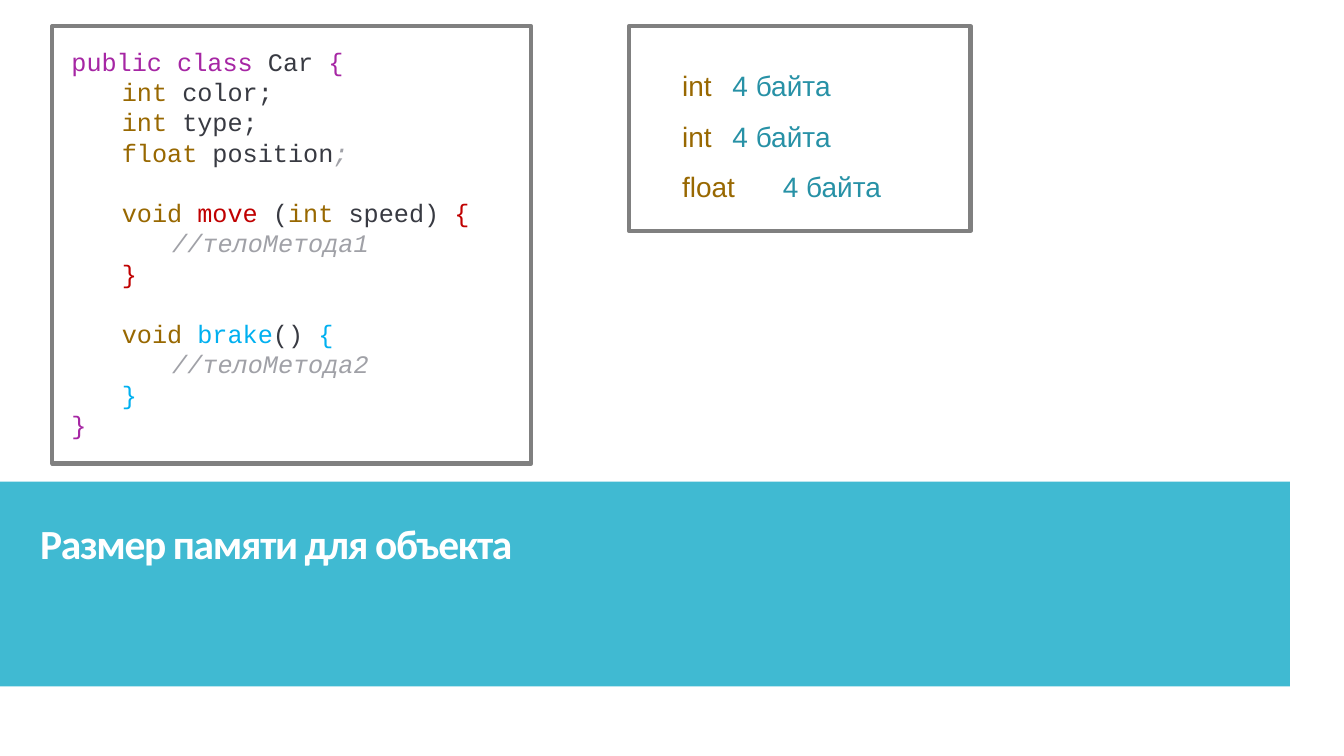
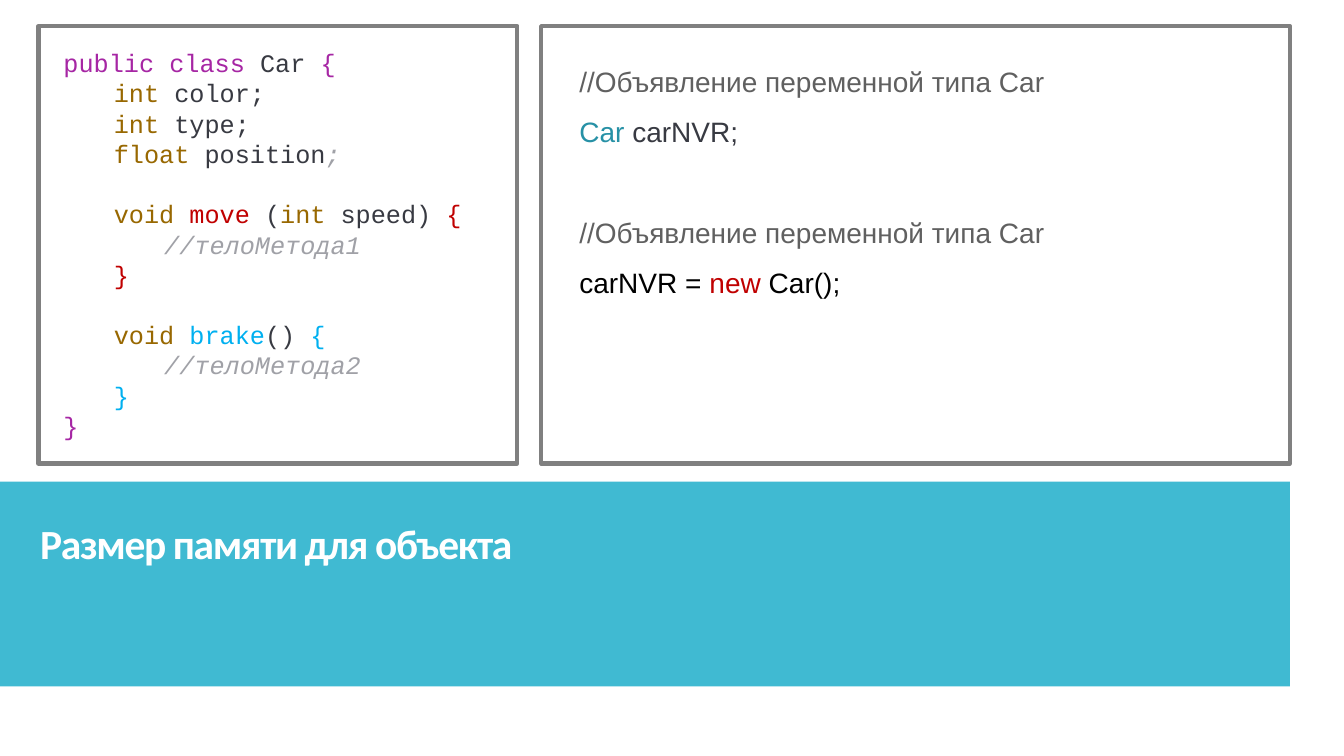
"""Build two slides on the memory size of a Java object."""
from lxml.etree import SubElement
from pptx import Presentation
from pptx.dml.color import RGBColor
from pptx.enum.shapes import MSO_SHAPE
from pptx.enum.text import MSO_ANCHOR, MSO_AUTO_SIZE, PP_ALIGN
from pptx.oxml.ns import qn
from pptx.util import Cm, Pt

COLORS = {
    "band": "40BAD2",
    "white": "FFFFFF",
    "border": "808080",
    "class": "A626A4",
    "plain": "383A42",
    "type": "986801",
    "comment": "A0A1A7",
    "move": "C00000",
    "brake": "00B0F0",
    "value": "2791A6",
    "note": "606060",
    "black": "000000",
}
TITLE = "Размер памяти для объекта"
TITLE_FONT = {"name": "Calibri", "size": Pt(29.6), "bold": True}
TITLE_FRAME = {
    "auto_size": MSO_AUTO_SIZE.NONE,
    "vertical_anchor": MSO_ANCHOR.TOP,
    "word_wrap": True,
}
TITLE_PARAGRAPH = {"alignment": PP_ALIGN.LEFT, "line_spacing": 0.8}
CODE_FONT = {"name": "Courier New", "size": Pt(18)}
NOTE_FONT = {"name": "Arial", "size": Pt(20)}
CODE_PITCH = Pt(21.6)
NOTE_PITCH = Pt(36)
INDENT = Cm(1.27)
VALUE_TAB = Cm(3.3)

CAR_CLASS = [
    (0, 0, [("public class", "class"), (" Car", "plain"), (" {", "class")]),
    (1, 0, [("int ", "type"), ("color;", "plain")]),
    (1, 0, [("int", "type"), (" type;", "plain")]),
    (1, 0, [("float ", "type"), ("position", "plain"), (";", "comment")]),
    (1, 1, [("void ", "type"), ("move", "move"), (" (", "plain"),
            ("int", "type"), (" speed) ", "plain"), ("{", "move")]),
    (2, 0, [("//телоМетода1", "comment")]),
    (1, 0, [("}", "move")]),
    (1, 1, [("void ", "type"), ("brake", "brake"), ("() ", "plain"), ("{", "brake")]),
    (2, 0, [("//телоМетода2", "comment")]),
    (1, 0, [("}", "brake")]),
    (0, 0, [("}", "class")]),
]
FIELD_SIZES = [
    (0, 0, [(field_type + "\t", "type"), ("4 байта", "value")])
    for field_type in ("int", "int", "float")
]
DECLARATION = [
    (0, 0, [("//Объявление переменной типа Car", "note")]),
    (0, 0, [("Car ", "value"), ("carNVR;", "plain")]),
    (0, 1, [("//Объявление переменной типа Car", "note")]),
    (0, 0, [("carNVR = ", "black"), ("new", "move"), (" Car();", "black")]),
]
SLIDES = [
    {
        "panels": [(1.32, 0.66, 12.07, 11.02), (15.85, 0.66, 8.61, 5.16)],
        "texts": [
            ((1.55, 1.04, 11.61, 10.52), CAR_CLASS, CODE_FONT, CODE_PITCH),
            ((16.94, 1.19, 8.61, 3.94), FIELD_SIZES, NOTE_FONT, NOTE_PITCH),
        ],
    },
    {
        "panels": [(0.97, 0.66, 12.07, 11.02), (13.64, 0.66, 18.87, 11.02)],
        "texts": [
            ((1.35, 1.07, 11.61, 10.52), CAR_CLASS, CODE_FONT, CODE_PITCH),
            ((14.35, 1.07, 17.91, 7.8), DECLARATION, NOTE_FONT, NOTE_PITCH),
        ],
    },
]


def add_rectangle(slide, place):
    rectangle = slide.shapes.add_shape(MSO_SHAPE.RECTANGLE, *map(Cm, place))
    rectangle.shadow.inherit = False
    return rectangle


def add_lines(slide, place, lines, font, pitch):
    frame = slide.shapes.add_textbox(*map(Cm, place)).text_frame
    frame.word_wrap = True
    for number, (depth, gap, pieces) in enumerate(lines):
        line = frame.add_paragraph() if number else frame.paragraphs[0]
        line.line_spacing = pitch
        line.space_before = gap * pitch
        properties = line._p.get_or_add_pPr()
        properties.set("marL", str(depth * INDENT))
        properties.set("indent", "0")
        if any("\t" in words for words, _ in pieces):
            stops = SubElement(properties, qn("a:tabLst"))
            SubElement(stops, qn("a:tab"), pos=str(VALUE_TAB), algn="l")
        for words, role in pieces:
            piece = line.add_run()
            piece.text = words
            for attribute, value in font.items():
                setattr(piece.font, attribute, value)
            piece.font.italic = role == "comment"
            piece.font.color.rgb = RGBColor.from_string(COLORS[role])


deck = Presentation()
deck.slide_width, deck.slide_height = Cm(33.87), Cm(19.05)

for content in SLIDES:
    slide = deck.slides.add_slide(deck.slide_layouts[5])

    band = add_rectangle(slide, (0, 12.14, 32.51, 5.16))
    band.fill.solid()
    band.fill.fore_color.rgb = RGBColor.from_string(COLORS["band"])
    band.line.fill.background()
    slide.shapes._spTree.insert(2, band._element)

    title = slide.shapes.title
    title.left, title.top, title.width, title.height = map(Cm, (0.76, 13.18, 28.37, 3.43))
    title.text_frame.text = TITLE
    heading = title.text_frame.paragraphs[0]
    heading_run = heading.runs[0]
    for target, formats in (
        (title.text_frame, TITLE_FRAME),
        (heading, TITLE_PARAGRAPH),
        (heading_run.font, TITLE_FONT),
    ):
        for attribute, value in formats.items():
            setattr(target, attribute, value)
    heading_run.font.color.rgb = RGBColor.from_string(COLORS["white"])
    heading_run._r.get_or_add_rPr().set("spc", "-100")

    for place in content["panels"]:
        panel = add_rectangle(slide, place)
        panel.fill.background()
        panel.line.color.rgb = RGBColor.from_string(COLORS["border"])
        panel.line.width = Pt(3)

    for place, lines, font, pitch in content["texts"]:
        add_lines(slide, place, lines, font, pitch)

deck.save("out.pptx")
